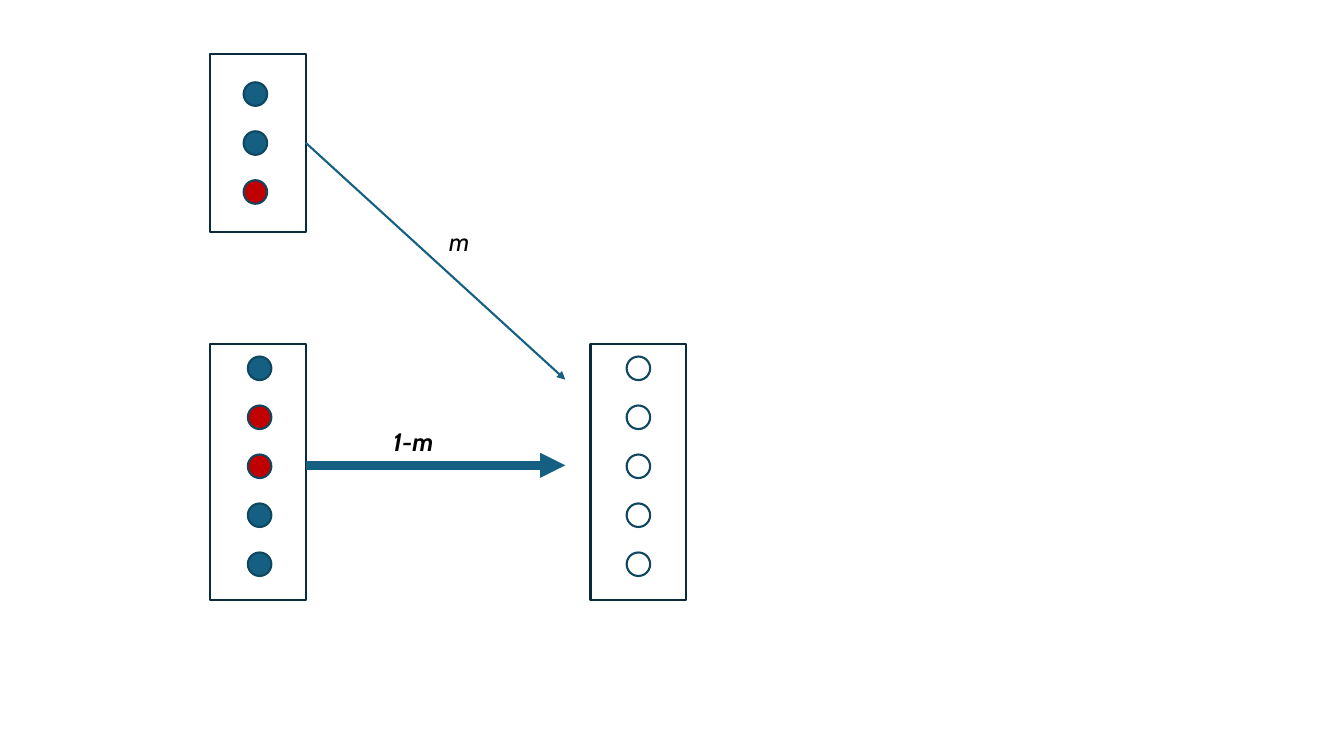
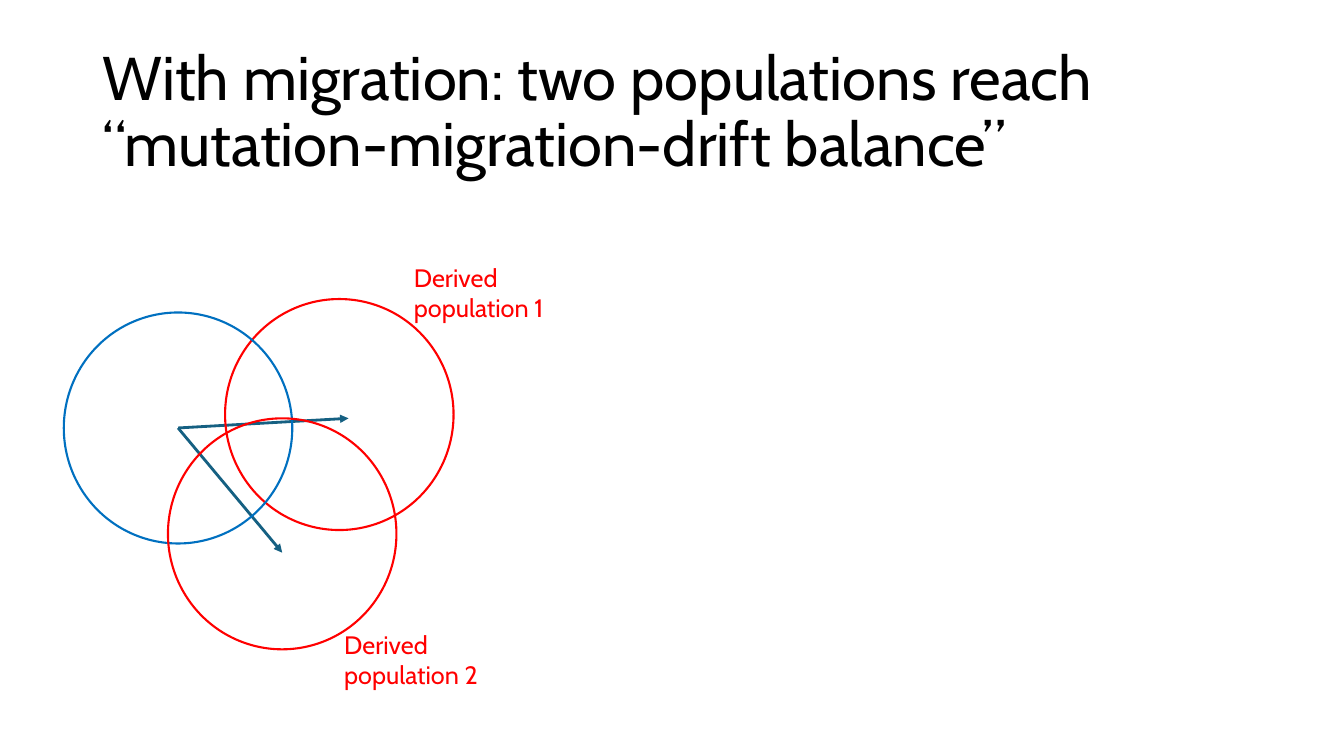
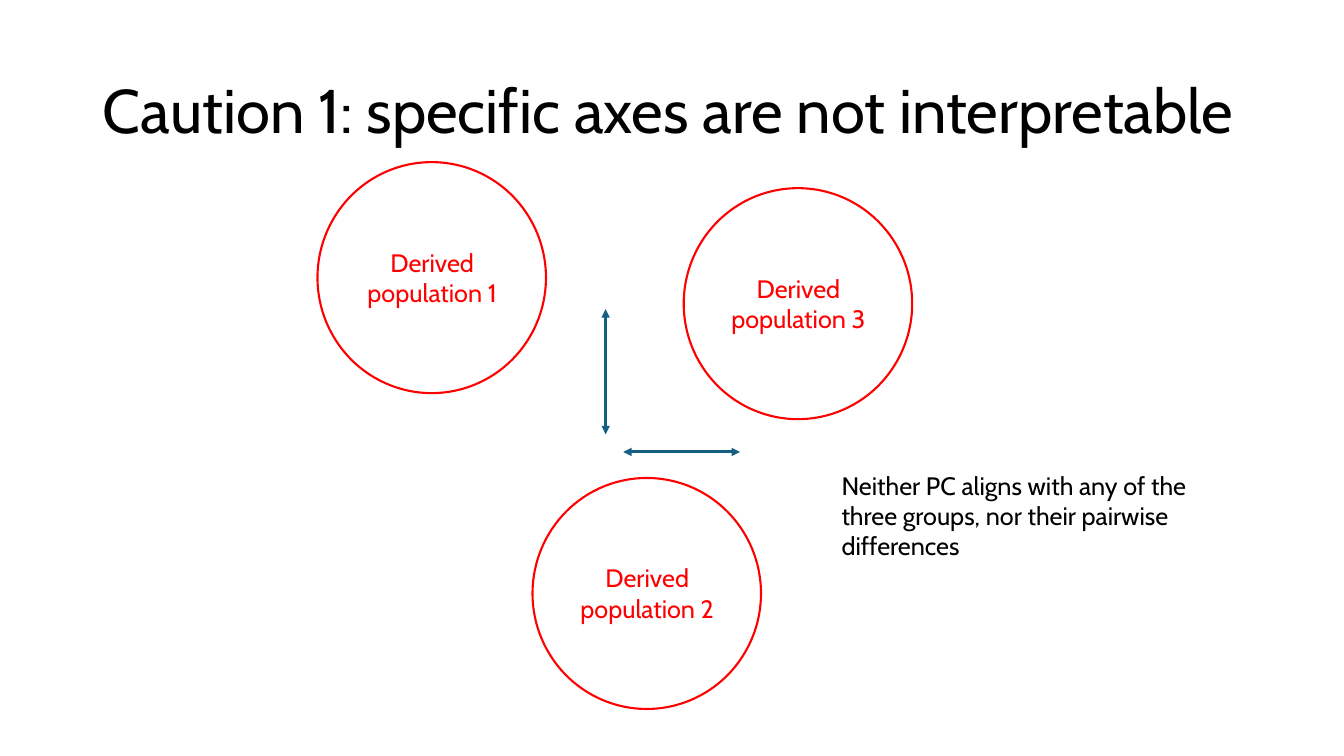
from lxml import etree
from pptx import Presentation
from pptx.dml.color import RGBColor
from pptx.enum.shapes import MSO_CONNECTOR, MSO_SHAPE
from pptx.enum.text import MSO_ANCHOR, MSO_AUTO_SIZE, PP_ALIGN
from pptx.oxml.ns import qn
from pptx.util import Inches, Pt

STRAIGHT = MSO_CONNECTOR.STRAIGHT
OVAL = MSO_SHAPE.OVAL
RECTANGLE = MSO_SHAPE.RECTANGLE
MIDDLE = MSO_ANCHOR.MIDDLE
LEFT = PP_ALIGN.LEFT
CENTER = PP_ALIGN.CENTER
FIT_SHAPE = MSO_AUTO_SIZE.SHAPE_TO_FIT_TEXT
NO_FIT = MSO_AUTO_SIZE.NONE
RIGHT_SIDE = 3

COLORS = {
    "teal": "156082",
    "dark_teal": "104760",
    "box": "092A39",
    "crimson": "C00000",
    "red": "FF0000",
    "blue": "0070C0",
    "black": "000000",
}
FONT = "Cabin"
SLIDE_WIDTH = Inches(13.33)
SLIDE_HEIGHT = Inches(7.5)
COLUMNS, ROWS = 160, 90
TITLE_ONLY, BLANK = 5, 6

DOT_SIZE = 2.8
DOT_PITCH = 5.83
BOX_WIDTH = 11.4
CIRCLE_SIZE = (27.2, 27.5)
LABEL_SIZE = (20.5, 8.5)
LABEL_OFFSET = (3.4, 9.5)


def color(name):
    return RGBColor.from_string(COLORS[name])


def across(columns):
    return round(SLIDE_WIDTH * columns / COLUMNS)


def down(rows):
    return round(SLIDE_HEIGHT * rows / ROWS)


def place(left, top, width, height):
    return across(left), down(top), across(width), down(height)


def write(paragraph, text, size, color_name="black", bold=None, italic=None):
    run = paragraph.add_run()
    run.text = text
    run.font.name = FONT
    run.font.size = Pt(size)
    run.font.color.rgb = color(color_name)
    run.font.bold = bold
    run.font.italic = italic


def add_slide(presentation, layout):
    return presentation.slides.add_slide(presentation.slide_layouts[layout])


def add_titled_slide(presentation, text):
    slide = add_slide(presentation, TITLE_ONLY)
    title = slide.shapes.title
    title.left, title.top, title.width, title.height = place(11, 4.8, 138, 17.4)
    frame = title.text_frame
    frame.auto_size = NO_FIT
    frame.word_wrap = True
    frame.vertical_anchor = MIDDLE
    paragraph = frame.paragraphs[0]
    paragraph.alignment = LEFT
    paragraph.line_spacing = 0.9
    write(paragraph, text, 44)
    return slide


def add_text(slide, box, text, color_name="black", alignment=LEFT, wrap=True,
             bold=None, italic=None):
    frame = slide.shapes.add_textbox(*place(*box)).text_frame
    frame.word_wrap = wrap
    frame.auto_size = FIT_SHAPE
    paragraph = frame.paragraphs[0]
    paragraph.alignment = alignment
    write(paragraph, text, 18, color_name, bold, italic)


def add_outline(slide, kind, box, line, fill=None):
    shape = slide.shapes.add_shape(kind, *place(*box))
    shape.shadow.inherit = False
    if fill:
        shape.fill.solid()
        shape.fill.fore_color.rgb = color(fill)
    else:
        shape.fill.background()
    shape.line.color.rgb = color(line)
    shape.line.width = Pt(1.5)
    return shape


def add_arrow(slide, start, end, width=2, both_ends=False):
    arrow = slide.shapes.add_connector(
        STRAIGHT, across(start[0]), down(start[1]), across(end[0]), down(end[1]))
    arrow.line.color.rgb = color("teal")
    arrow.line.width = Pt(width)
    line = arrow.line._get_or_add_ln()
    for tag in ("a:headEnd", "a:tailEnd") if both_ends else ("a:tailEnd",):
        etree.SubElement(line, qn(tag), type="triangle")
    etree.SubElement(arrow._element.spPr, qn("a:effectLst"))
    return arrow


def add_dots(slide, left, top, fills):
    for index, fill in enumerate(fills):
        box = (left, top + index * DOT_PITCH, DOT_SIZE, DOT_SIZE)
        add_outline(slide, OVAL, box, "dark_teal", fill)


def add_box(slide, left, top, height):
    return add_outline(slide, RECTANGLE, (left, top, BOX_WIDTH, height), "box")


def add_circle(slide, left, top, line="red"):
    add_outline(slide, OVAL, (left, top, *CIRCLE_SIZE), line)


def add_population_label(slide, left, top, number, alignment=LEFT):
    add_text(slide, (left, top, *LABEL_SIZE), f"Derived population {number}",
             "red", alignment)


def build_gene_flow(presentation):
    slide = add_slide(presentation, BLANK)
    add_dots(slide, 29, 9.8, ("teal", "teal", "crimson"))
    add_dots(slide, 29.5, 42.45, ("teal", "crimson", "crimson", "teal", "teal"))
    add_dots(slide, 74.6, 42.45, (None,) * 5)
    source = add_box(slide, 25, 6.4, 21.2)
    for left in (25, 70.3):
        add_box(slide, left, 41, 30.4)
    migration = add_arrow(slide, (36.4, 17), (67.3, 45.2), 1.5)
    migration.begin_connect(source, RIGHT_SIDE)
    add_arrow(slide, (36.4, 55.4), (67.3, 55.4), 6)
    add_text(slide, (52.3, 26.3, 5, 4.8), "m", wrap=False, italic=True)
    add_text(slide, (45.6, 50.2, 7.8, 4.8), "1-m", wrap=False, bold=True,
             italic=True)


def build_balance(presentation):
    slide = add_titled_slide(
        presentation,
        "With migration: two populations reach “mutation-migration-drift balance”")
    for end in ((41.5, 49.8), (33.6, 65.8)):
        add_arrow(slide, (21.2, 50.95), end)
    add_circle(slide, 26.8, 35.6)
    add_circle(slide, 7.6, 37.2, "blue")
    add_circle(slide, 20, 49.8)
    add_population_label(slide, 48.1, 30.6, 1)
    add_population_label(slide, 39.8, 74.3, 2)


def build_caution(presentation):
    slide = add_titled_slide(
        presentation, "Caution 1: specific axes are not interpretable")
    circles = ((37.8, 19.3), (63.4, 56.9), (81.4, 22.4))
    for number, (left, top) in enumerate(circles, 1):
        add_circle(slide, left, top)
        add_population_label(slide, left + LABEL_OFFSET[0],
                             top + LABEL_OFFSET[1], number, CENTER)
    add_arrow(slide, (72.1, 51.7), (72.1, 36.8), both_ends=True)
    add_arrow(slide, (74.2, 53.8), (88.1, 53.8), both_ends=True)
    add_text(slide, (99, 55.4, 45.7, 12.1),
             "Neither PC aligns with any of the three groups, "
             "nor their pairwise differences")


def main():
    presentation = Presentation()
    presentation.slide_width = SLIDE_WIDTH
    presentation.slide_height = SLIDE_HEIGHT
    build_gene_flow(presentation)
    build_balance(presentation)
    build_caution(presentation)
    presentation.save("out.pptx")


if __name__ == "__main__":
    main()
